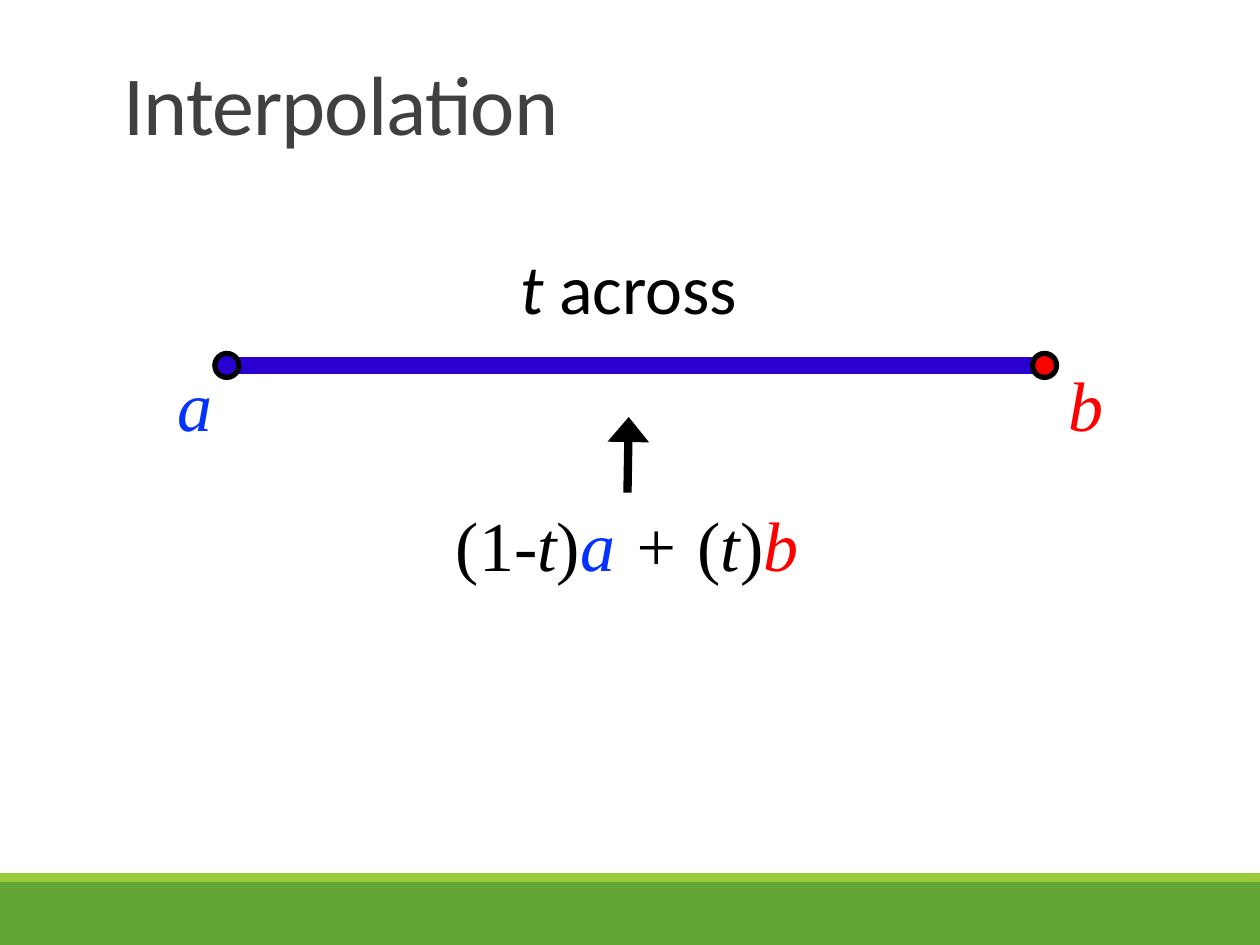
from lxml.etree import SubElement
from pptx import Presentation
from pptx.dml.color import RGBColor
from pptx.enum.shapes import MSO_CONNECTOR as LINE, MSO_SHAPE as SHAPE
from pptx.enum.text import MSO_ANCHOR as ANCHOR, MSO_AUTO_SIZE as FIT
from pptx.oxml.ns import qn
from pptx.util import Inches, Pt

BLACK = RGBColor(0x00, 0x00, 0x00)
GREY = RGBColor(0x40, 0x40, 0x40)
GREEN = RGBColor(0x63, 0xA5, 0x37)
LIME = RGBColor(0x99, 0xCB, 0x38)
INDIGO = RGBColor(0x2A, 0x00, 0xD0)
BLUE = RGBColor(0x04, 0x32, 0xFF)
RED = RGBColor(0xFF, 0x00, 0x00)
SERIF, SANS = "Times New Roman", "Calibri"

deck = Presentation()
deck.slide_width, deck.slide_height = Inches(10), Inches(7.5)
page = deck.slides.add_slide(deck.slide_layouts[6])
WIDTH, HEIGHT = 10, 7.5
AXIS, START, END = 2.9, 1.8, 8.29  # segment height and its two ends
DOT = 0.19


def add_text(left, top, width, height, spans, **common):
    """Add a text box whose spans are (text, format values) pairs."""
    box = page.shapes.add_textbox(*map(Inches, (left, top, width, height)))
    para = box.text_frame.paragraphs[0]
    for text, values in spans:
        span = para.add_run()
        span.text = text
        formats = {**common, **values}
        span.font.color.rgb = formats.pop("color")
        for name, value in formats.items():
            setattr(span.font, name, value)
    return box


def add_line(x1, y1, x2, y2, color, weight):
    line = page.shapes.add_connector(LINE.STRAIGHT, *map(Inches, (x1, y1, x2, y2)))
    line.line.color.rgb = color
    line.line.width = Pt(weight)
    SubElement(line._element.spPr, qn("a:effectLst"))
    return line


# Footer bands
for top, height, color in ((7, 0.5, GREEN), (6.93, 0.07, LIME)):
    band = page.shapes.add_shape(
        SHAPE.RECTANGLE, 0, Inches(top), Inches(WIDTH), Inches(height))
    band.shadow.inherit = False
    band.fill.solid()
    band.fill.fore_color.rgb = color
    band.line.fill.background()

# Title
title = add_text(0.88, 0.29, 8.25, 0.97, [("Interpolation", {})],
                 name=SANS, size=Pt(48), color=GREY)
title.text_frame.word_wrap = True
title.text_frame.vertical_anchor = ANCHOR.BOTTOM
heading = title.text_frame.paragraphs[0]
heading.line_spacing = 0.85
heading.runs[0]._r.get_or_add_rPr().set("spc", "-50")

# Segment from a to b with its end points
add_line(START, AXIS, END, AXIS, INDIGO, 10)
for center, color in ((START, INDIGO), (END, RED)):
    dot = page.shapes.add_shape(
        SHAPE.OVAL, Inches(center - DOT / 2), Inches(AXIS - DOT / 2),
        Inches(DOT), Inches(DOT))
    dot.shadow.inherit = False
    dot.fill.solid()
    dot.fill.fore_color.rgb = color
    dot.line.color.rgb = BLACK
    dot.line.width = Pt(3)

# Arrow from the formula up to the segment
arrow = add_line(4.98, 3.91, 4.99, 3.31, BLACK, 4.75)
SubElement(arrow.line._get_or_add_ln(), qn("a:tailEnd"),
           type="triangle", w="lg", len="med")

# Labels and formula
plain, slanted = {"italic": False}, {"italic": True}
point_a = ("a", {"color": BLUE, **slanted})
point_b = ("b", {"color": RED, **slanted})
formula = [("(1-", plain), ("t", slanted), (")", plain), point_a,
           (" + ", slanted), ("(", plain), ("t", slanted), (")", plain), point_b]
labels = (
    (1.31, 2.82, 0.48, SERIF, [point_a]),
    (8.38, 2.82, 0.48, SERIF, [point_b]),
    (4.03, 1.89, 1.94, SANS, [("t ", slanted), ("across", plain)]),
    (3.52, 3.93, 2.95, SERIF, formula),
)
for left, top, width, font, spans in labels:
    label = add_text(left, top, width, 0.77, spans,
                     name=font, size=Pt(40), color=BLACK)
    label.text_frame.word_wrap = False
    label.text_frame.auto_size = FIT.SHAPE_TO_FIT_TEXT

deck.save("out.pptx")
